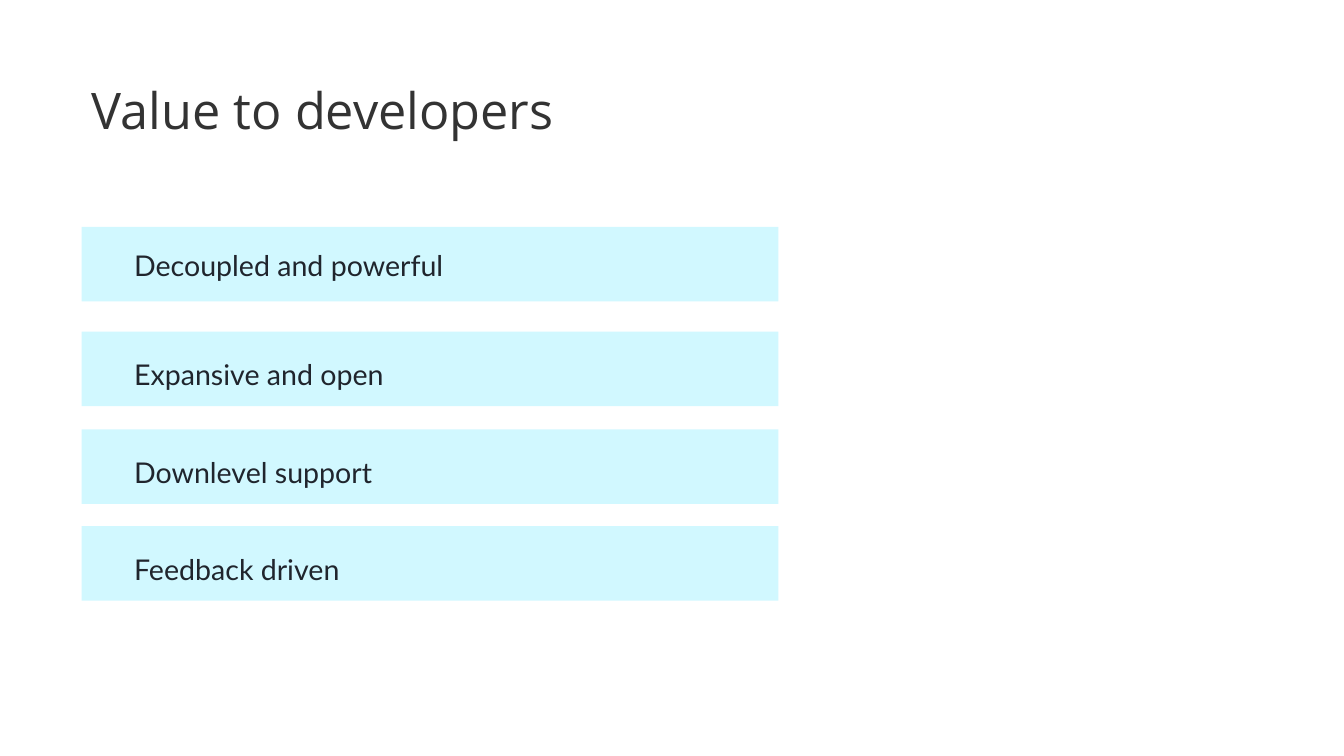
from dataclasses import dataclass

from pptx import Presentation
from pptx.dml.color import RGBColor
from pptx.enum import shapes, text
from pptx.slide import Slide
from pptx.util import Inches, Pt


@dataclass(frozen=True)
class Theme:
    bar: RGBColor = RGBColor(0xD1, 0xF8, 0xFF)
    body: RGBColor = RGBColor(0x20, 0x25, 0x2D)
    title: RGBColor = RGBColor(0x33, 0x33, 0x33)
    body_font: str = "Lato"
    title_font: str = "Open Sans"
    body_size: float = 20.4
    title_size: float = 36


@dataclass(frozen=True)
class Benefit:
    label: str
    top: float
    label_offset: float = 0.22


THEME = Theme()
LEFT = 0.81
BENEFITS = [
    Benefit("Decoupled and powerful", 2.25, 0.18),
    Benefit("Expansive and open", 3.29),
    Benefit("Downlevel support", 4.26),
    Benefit("Feedback driven", 5.22),
]


def write_line(tf: text.MSO_ANCHOR, words: str, font: str, size: float,
               color: RGBColor, spacing: float) -> None:
    """Set the frame's single, left-aligned paragraph, anchored at the top."""
    tf.word_wrap = True
    tf.auto_size = text.MSO_AUTO_SIZE.NONE
    tf.vertical_anchor = text.MSO_ANCHOR.TOP
    p = tf.paragraphs[0]
    p.alignment = text.PP_ALIGN.LEFT
    p.line_spacing = spacing
    p.space_before = Pt(0)
    r = p.add_run()
    r.text = words
    r.font.name = font
    r.font.size = Pt(size)
    r.font.color.rgb = color


def add_title(s: Slide, words: str) -> None:
    sp = s.shapes.title
    sp.left, sp.top = Inches(LEFT), Inches(0.8)
    sp.width, sp.height = Inches(11.5), Inches(1.45)
    write_line(sp.text_frame, words, THEME.title_font, THEME.title_size,
               THEME.title, 0.9)


def add_benefit(s: Slide, benefit: Benefit) -> None:
    """Group a coloured bar with the label lying on it."""
    group = s.shapes.add_group_shape()
    bar = group.shapes.add_shape(
        shapes.MSO_SHAPE.RECTANGLE, Inches(LEFT), Inches(benefit.top),
        Inches(6.91), Inches(0.74))
    label = group.shapes.add_shape(
        shapes.MSO_SHAPE.RECTANGLE, Inches(1.33),
        Inches(benefit.top + benefit.label_offset), Inches(6.21), Inches(0.46))
    for sp in (bar, label):
        sp.shadow.inherit = False
        sp.fill.solid()
        sp.fill.fore_color.rgb = THEME.bar
        sp.line.fill.background()
    tf = label.text_frame
    tf.margin_left = tf.margin_top = Inches(0)
    tf.margin_right = tf.margin_bottom = Inches(0.1)
    write_line(tf, benefit.label, THEME.body_font, THEME.body_size,
               THEME.body, 1.1)


def main() -> None:
    prs = Presentation()
    prs.slide_width, prs.slide_height = Inches(13.33), Inches(7.5)
    s = prs.slides.add_slide(prs.slide_layouts.get_by_name("Title Only"))
    add_title(s, "Value to developers")
    for benefit in BENEFITS:
        add_benefit(s, benefit)
    prs.save("out.pptx")


if __name__ == "__main__":
    main()
